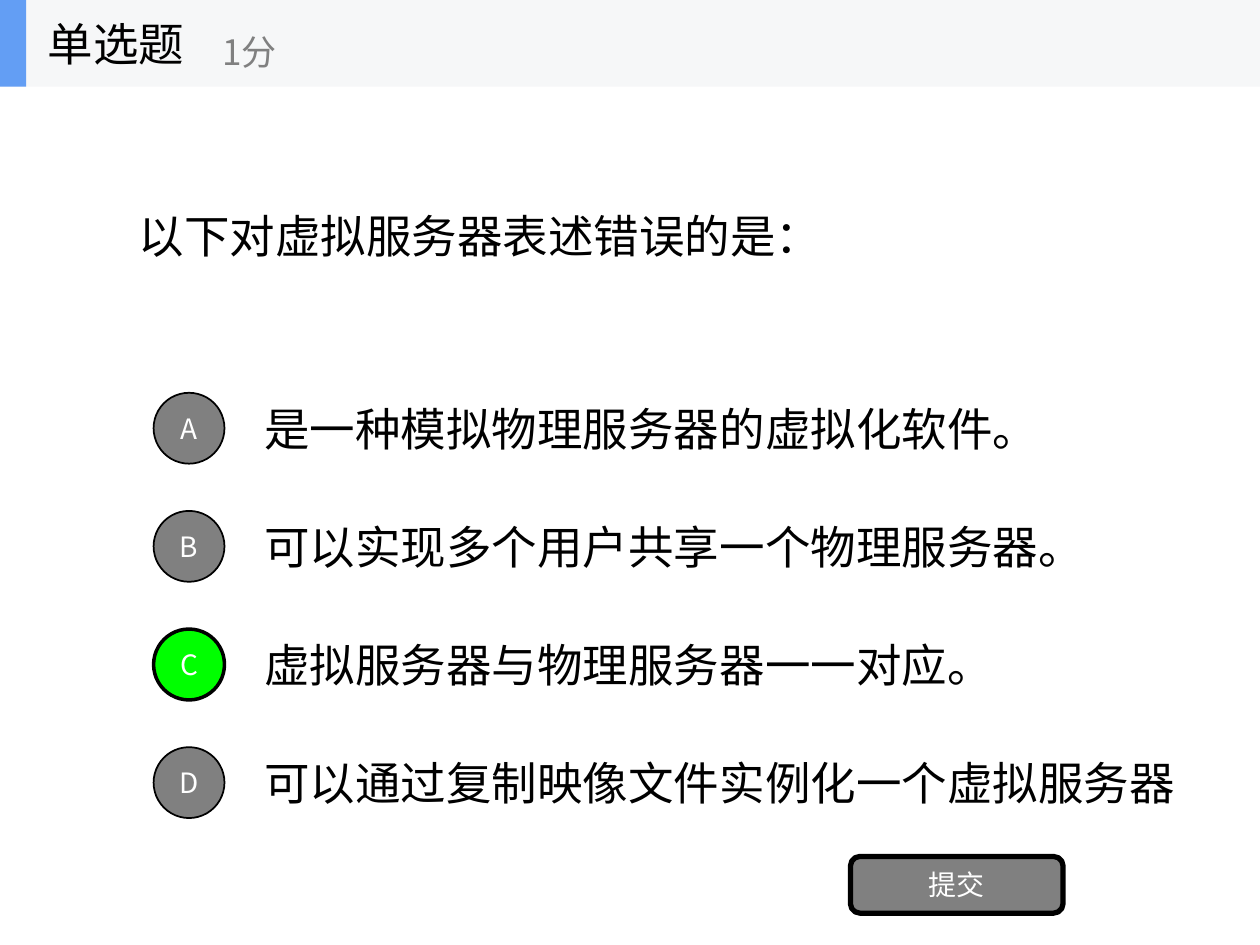
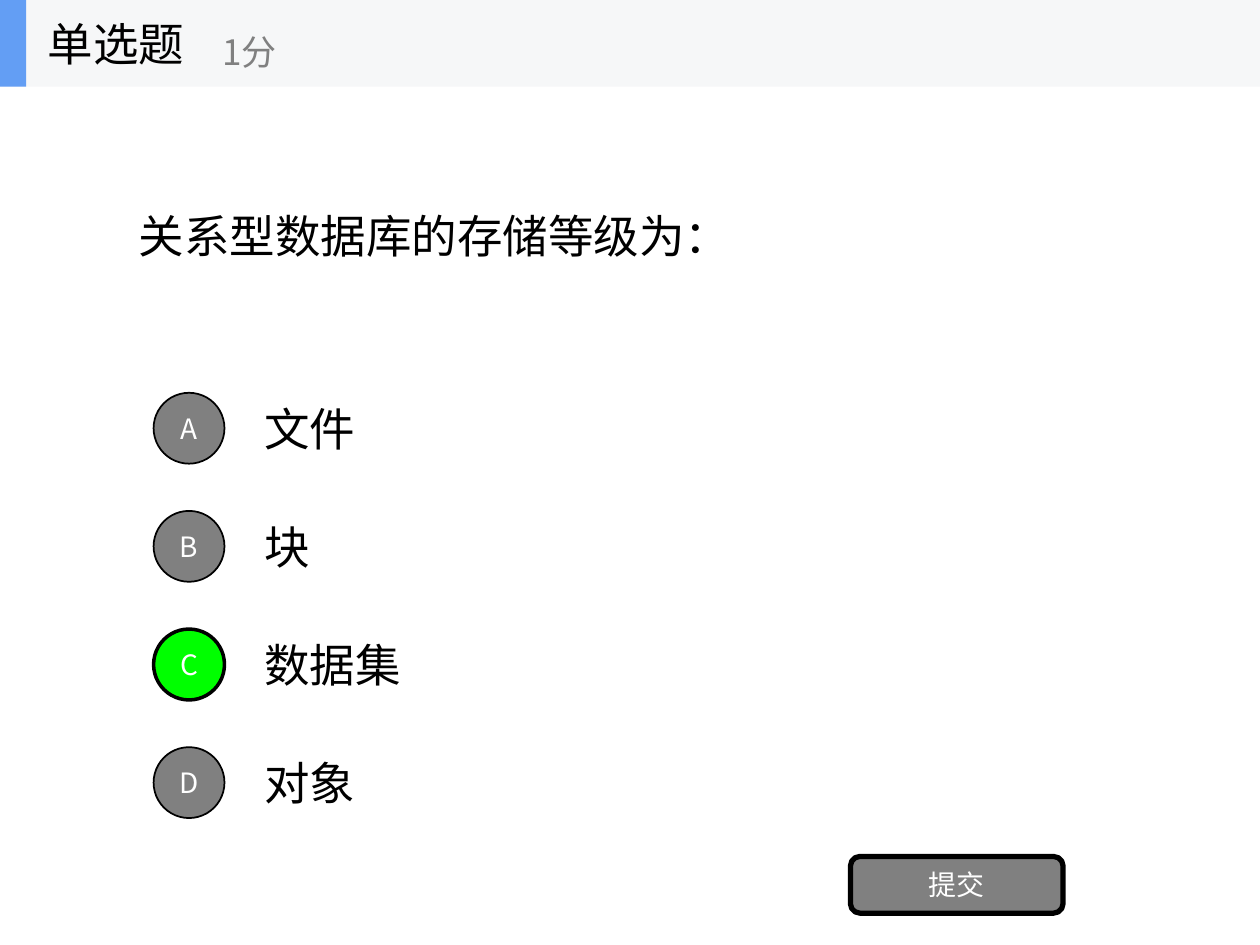
from dataclasses import dataclass
from typing import Any

from lxml.etree import SubElement
from pptx import Presentation
from pptx.dml.color import RGBColor
from pptx.enum.shapes import MSO_SHAPE
from pptx.enum.text import MSO_ANCHOR, MSO_AUTO_SIZE, PP_ALIGN
from pptx.oxml.ns import qn
from pptx.util import Pt

# Shared style
FONT = "Noto Sans CJK SC"
BLACK, WHITE, GRAY = "000000", "FFFFFF", "808080"
GREEN, BLUE, PALE = "00FF00", "639EF4", "F6F7F8"
TEXT_SIZE, POINTS_SIZE, BUTTON_SIZE = 26, 20, 16

# Shared layout, in points
PAGE_WIDTH, PAGE_HEIGHT = 720, 540
BAND_HEIGHT = 49.5
OPTION_TOP, OPTION_STEP, OPTION_HEIGHT = 219.4, 67.5, 50.6
OPTION_LEFT, OPTION_WIDTH = 144, 504
MARKER_LEFT, MARKER_SIZE = 87.75, 40.5


@dataclass(frozen=True)
class Area:
    left: float
    top: float
    width: float
    height: float

    def lengths(self) -> tuple[Pt, Pt, Pt, Pt]:
        return Pt(self.left), Pt(self.top), Pt(self.width), Pt(self.height)


@dataclass(frozen=True)
class Option:
    text: str
    correct: bool = False
    width: float = OPTION_WIDTH


@dataclass(frozen=True)
class Question:
    text: str
    options: tuple[Option, ...]


QUESTIONS = (
    Question("以下对虚拟服务器表述错误的是：", (
        Option("是一种模拟物理服务器的虚拟化软件。"),
        Option("可以实现多个用户共享一个物理服务器。"),
        Option("虚拟服务器与物理服务器一一对应。", correct=True),
        Option("可以通过复制映像文件实例化一个虚拟服务器", width=545),
    )),
    Question("关系型数据库的存储等级为：", (
        Option("文件"),
        Option("块"),
        Option("数据集", correct=True),
        Option("对象"),
    )),
)


def color(value: str) -> RGBColor:
    return RGBColor.from_string(value)


def write(shape: Any, text: str, size: float, ink: str = BLACK,
          align: PP_ALIGN = PP_ALIGN.LEFT, wrap: bool = True) -> None:
    frame = shape.text_frame
    frame.text = text
    frame.word_wrap = wrap
    frame.auto_size = MSO_AUTO_SIZE.NONE
    frame.vertical_anchor = MSO_ANCHOR.MIDDLE
    para = frame.paragraphs[0]
    para.alignment = align
    para.font.size = Pt(size)
    para.font.name = FONT
    para.font.color.rgb = color(ink)
    # Chinese characters take the East Asian typeface
    defaults = para._p.pPr.find(qn("a:defRPr"))
    SubElement(defaults, qn("a:ea"), typeface=FONT)


def add_text(shapes: Any, area: Area, text: str, size: float,
             ink: str = BLACK, wrap: bool = True) -> None:
    write(shapes.add_textbox(*area.lengths()), text, size, ink, wrap=wrap)


def add_block(shapes: Any, kind: MSO_SHAPE, area: Area, fill: str,
              line_width: float = 0) -> Any:
    block = shapes.add_shape(kind, *area.lengths())
    block.shadow.inherit = False
    block.fill.solid()
    block.fill.fore_color.rgb = color(fill)
    if line_width:
        block.line.color.rgb = color(BLACK)
        block.line.width = Pt(line_width)
    else:
        block.line.fill.background()
    return block


def add_button(shapes: Any, kind: MSO_SHAPE, area: Area, label: str,
               fill: str, line_width: float) -> None:
    button = add_block(shapes, kind, area, fill, line_width)
    write(button, label, BUTTON_SIZE, WHITE, PP_ALIGN.CENTER)


def add_header(page: Any) -> None:
    shapes = page.shapes.add_group_shape().shapes
    add_block(shapes, MSO_SHAPE.RECTANGLE, Area(0, 0, PAGE_WIDTH, BAND_HEIGHT), PALE)
    add_block(shapes, MSO_SHAPE.RECTANGLE, Area(0, 0, 15, BAND_HEIGHT), BLUE)
    add_text(shapes, Area(20.25, 0, 150, BAND_HEIGHT), "单选题", TEXT_SIZE, wrap=False)
    add_text(shapes, Area(120, 9, 180, 40.5), "1分", POINTS_SIZE, GRAY, wrap=False)


def add_question(deck: Any, question: Question) -> None:
    page = deck.slides.add_slide(deck.slide_layouts[5])

    # Question as the slide title
    title = page.shapes.title
    title.left, title.top, title.width, title.height = Area(72, 50, 576, 168.5).lengths()
    write(title, question.text, TEXT_SIZE)

    # Lettered options; the correct one is green
    for row, (letter, option) in enumerate(zip("ABCD", question.options)):
        top = OPTION_TOP + row * OPTION_STEP
        add_text(page.shapes, Area(OPTION_LEFT, top, option.width, OPTION_HEIGHT),
                 option.text, TEXT_SIZE)
        marker = Area(MARKER_LEFT, top + (OPTION_HEIGHT - MARKER_SIZE) / 2,
                      MARKER_SIZE, MARKER_SIZE)
        add_button(page.shapes, MSO_SHAPE.OVAL, marker, letter,
                   GREEN if option.correct else GRAY, 2 if option.correct else 1)

    # Submit button and header band
    add_button(page.shapes, MSO_SHAPE.ROUNDED_RECTANGLE, Area(486, 489.4, 121.5, 32.4),
               "提交", GRAY, 3)
    add_header(page)


def main() -> None:
    deck = Presentation()
    deck.slide_width, deck.slide_height = Pt(PAGE_WIDTH), Pt(PAGE_HEIGHT)
    for question in QUESTIONS:
        add_question(deck, question)
    deck.save("out.pptx")


if __name__ == "__main__":
    main()
